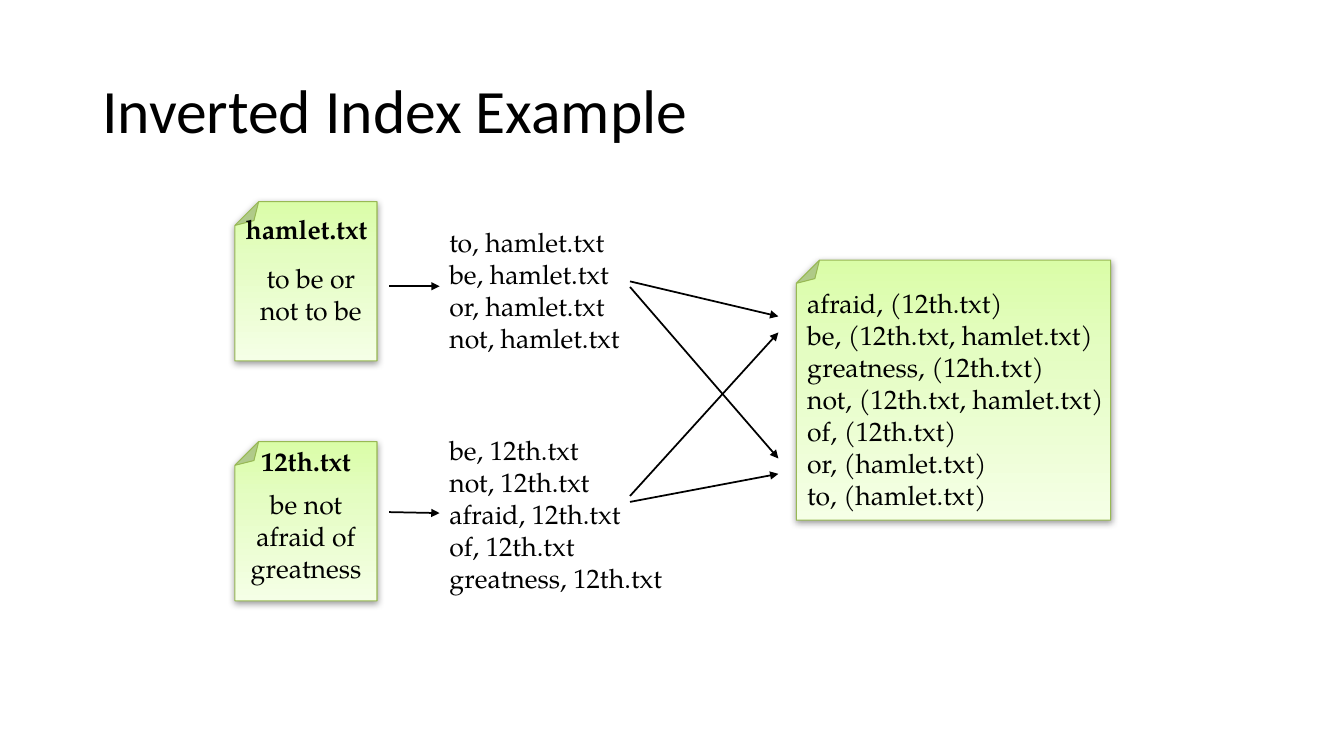
import dataclasses

import pptx
import pptx.dml.color
import pptx.enum.shapes
import pptx.enum.text
import pptx.oxml
import pptx.oxml.ns
import pptx.util

Pt = pptx.util.Pt
ALIGN = pptx.enum.text.PP_ALIGN
ANCHOR = pptx.enum.text.MSO_ANCHOR
AUTO_SIZE = pptx.enum.text.MSO_AUTO_SIZE
NAMESPACE = pptx.oxml.ns.nsdecls("a")

BLACK = "000000"
NOTE_EDGE = "98B954"
NOTE_STOPS = {0: "DAFDA7", 35: "E4FDC2", 100: "F5FFE6"}
BODY_FONT = {"name": "TeX Gyre Pagella", "size": Pt(19), "bold": False}
HEADING_FONT = BODY_FONT | {"bold": True}
TITLE_FONT = {"name": "Calibri", "size": Pt(44), "bold": False}
LEFT = {"alignment": ALIGN.LEFT}
CENTER = {"alignment": ALIGN.CENTER}
TITLE_PARA = {"alignment": ALIGN.LEFT, "line_spacing": 0.9}
GROWING = {"word_wrap": True, "auto_size": AUTO_SIZE.SHAPE_TO_FIT_TEXT}
TITLE_FRAME = {"word_wrap": True, "vertical_anchor": ANCHOR.MIDDLE}


@dataclasses.dataclass
class Area:
    left: float
    top: float
    width: float
    height: float

    def lengths(self) -> list:
        return [Pt(value) for value in dataclasses.astuple(self)]


@dataclasses.dataclass
class Note:
    area: Area
    fold: int  # thousandths of the shorter side


@dataclasses.dataclass
class Label:
    area: Area
    lines: list[str]
    font: dict
    para: dict
    frame: dict


@dataclasses.dataclass
class Arrow:
    start: tuple[float, float]
    end: tuple[float, float]


def color(value: str) -> pptx.dml.color.RGBColor:
    return pptx.dml.color.RGBColor.from_string(value)


def apply(target, values: dict) -> None:
    for name, value in values.items():
        setattr(target, name, value)


def draw_note(page, note: Note) -> None:
    shape = page.shapes.add_shape(
        pptx.enum.shapes.MSO_SHAPE.FOLDED_CORNER, *note.area.lengths())
    shape.rotation = 180
    shape.line.color.rgb = color(NOTE_EDGE)
    shape.line.width = Pt(0.75)
    shape.shadow.inherit = False

    # Fold size, which this preset does not expose as an adjustment
    properties = shape._element.spPr
    geometry = properties.find(pptx.oxml.ns.qn("a:prstGeom"))
    geometry.get_or_add_avLst().append(pptx.oxml.parse_xml(
        f'<a:gd {NAMESPACE} name="adj" fmla="val {note.fold * 100}"/>'))

    # Three-stop gradient, placed where the preset geometry ends
    stops = "".join(
        f'<a:gs pos="{place * 1000}"><a:srgbClr val="{value}"/></a:gs>'
        for place, value in NOTE_STOPS.items())
    geometry.addnext(pptx.oxml.parse_xml(
        f'<a:gradFill {NAMESPACE} rotWithShape="1"><a:gsLst>{stops}</a:gsLst>'
        '<a:lin ang="16200000" scaled="0"/></a:gradFill>'))

    # Soft shadow straight below
    effects = properties.find(pptx.oxml.ns.qn("a:effectLst"))
    effects.append(pptx.oxml.parse_xml(
        f'<a:outerShdw {NAMESPACE} blurRad="{Pt(5)}" dist="{Pt(1.6)}" '
        f'dir="5400000" rotWithShape="0"><a:srgbClr val="{BLACK}">'
        '<a:alpha val="38000"/></a:srgbClr></a:outerShdw>'))


def draw_label(page, label: Label) -> None:
    box = page.shapes.add_textbox(*label.area.lengths())
    frame = box.text_frame
    apply(frame, label.frame)
    frame.text = "\n".join(label.lines)
    for para in frame.paragraphs:
        apply(para, label.para)
        for span in para.runs:
            apply(span.font, label.font)
            span.font.color.rgb = color(BLACK)


def draw_arrow(page, arrow: Arrow) -> None:
    ends = [Pt(value) for value in arrow.start + arrow.end]
    connector = page.shapes.add_connector(
        pptx.enum.shapes.MSO_CONNECTOR.STRAIGHT, *ends)
    connector.line.color.rgb = color(BLACK)
    connector.line.width = Pt(1.25)
    properties = connector._element.spPr
    properties.find(pptx.oxml.ns.qn("a:ln")).append(
        pptx.oxml.parse_xml(f'<a:tailEnd {NAMESPACE} type="triangle"/>'))
    properties.append(pptx.oxml.parse_xml(f"<a:effectLst {NAMESPACE}/>"))


TITLE = Label(Area(66, 28.8, 828, 104.4), ["Inverted Index Example"],
              TITLE_FONT, TITLE_PARA, TITLE_FRAME)

# Documents to word lists, then word lists to the index
ARROWS = [
    Arrow((278, 204.5), (314, 204.5)),
    Arrow((278, 365.8), (314, 366.5)),
    Arrow((450, 201), (556, 226)),
    Arrow((450, 205), (556, 327.5)),
    Arrow((450, 358.5), (556, 338.5)),
    Arrow((450, 354.3), (556, 237.5)),
]

NOTES = [
    Note(Area(568.8, 185.8, 224.6, 185.8), 89),
    Note(Area(167.8, 144, 101.5, 113.8), 167),
    Note(Area(167.8, 315.4, 101.5, 113.8), 167),
]

DOCUMENT_LABELS = [
    Label(Area(174.2, 183.6, 95.8, 53.3), ["to be or not to be"],
          BODY_FONT, CENTER, GROWING),
    Label(Area(164.9, 148.3, 108, 30.2), ["hamlet.txt"],
          HEADING_FONT, CENTER, GROWING),
    Label(Area(167.8, 344.9, 101.5, 76.3), ["be not afraid of greatness"],
          BODY_FONT, CENTER, GROWING),
    Label(Area(167.8, 314.6, 101.5, 30.2), ["12th.txt"],
          HEADING_FONT, CENTER, GROWING),
]

HAMLET_WORDS = ["to", "be", "or", "not"]
TWELFTH_WORDS = ["be", "not", "afraid", "of", "greatness"]
INDEX = {
    "afraid": "12th.txt",
    "be": "12th.txt, hamlet.txt",
    "greatness": "12th.txt",
    "not": "12th.txt, hamlet.txt",
    "of": "12th.txt",
    "or": "hamlet.txt",
    "to": "hamlet.txt",
}
LIST_LABELS = [
    Label(Area(569.5, 201.6, 226, 168.5),
          [f"{word}, ({files})" for word, files in INDEX.items()],
          BODY_FONT, LEFT, GROWING),
    Label(Area(313.9, 157.7, 144, 145.4),
          [f"{word}, hamlet.txt" for word in HAMLET_WORDS],
          BODY_FONT, LEFT, GROWING),
    Label(Area(313.9, 306.7, 204.5, 168.5),
          [f"{word}, 12th.txt" for word in TWELFTH_WORDS],
          BODY_FONT, LEFT, GROWING),
]

deck = pptx.Presentation()
apply(deck, {"slide_width": Pt(960), "slide_height": Pt(540)})
page = deck.slides.add_slide(deck.slide_layouts[6])

draw_label(page, TITLE)
for arrow in ARROWS:
    draw_arrow(page, arrow)
for note in NOTES:
    draw_note(page, note)
for label in DOCUMENT_LABELS + LIST_LABELS:
    draw_label(page, label)

deck.save("out.pptx")
